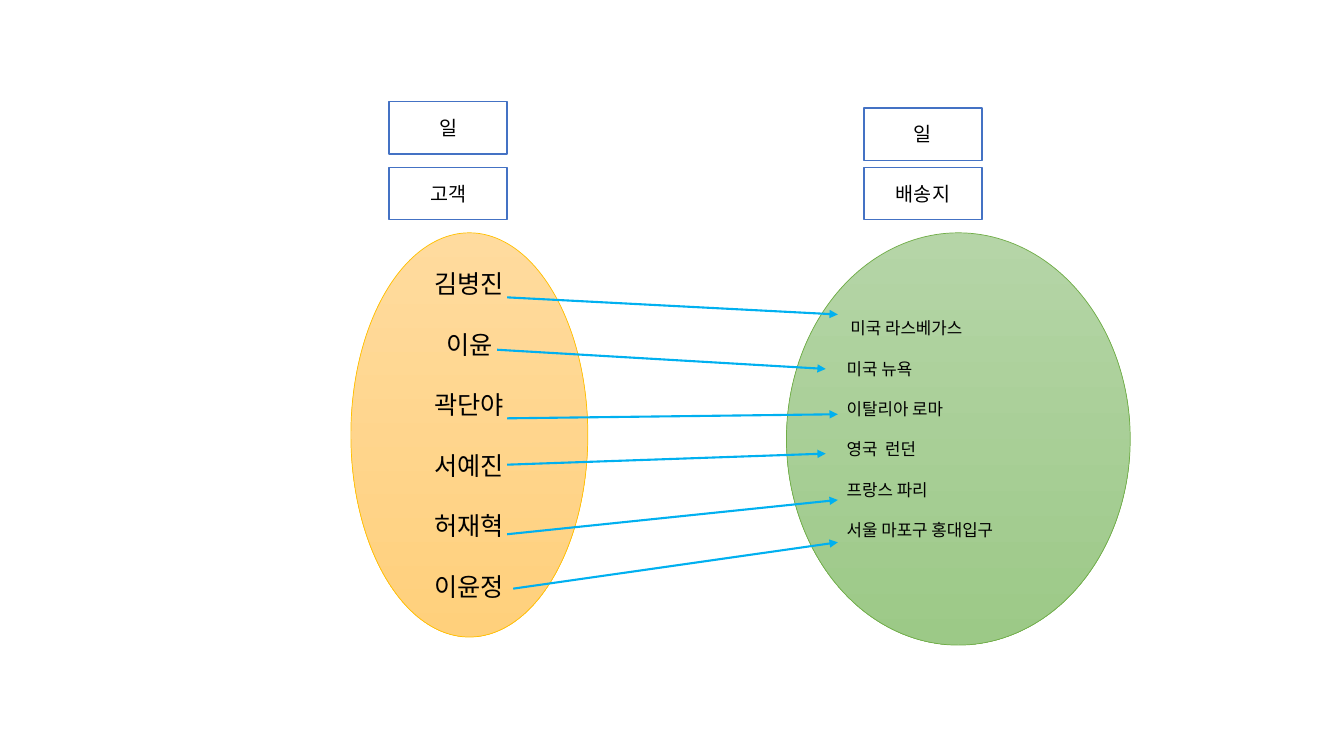
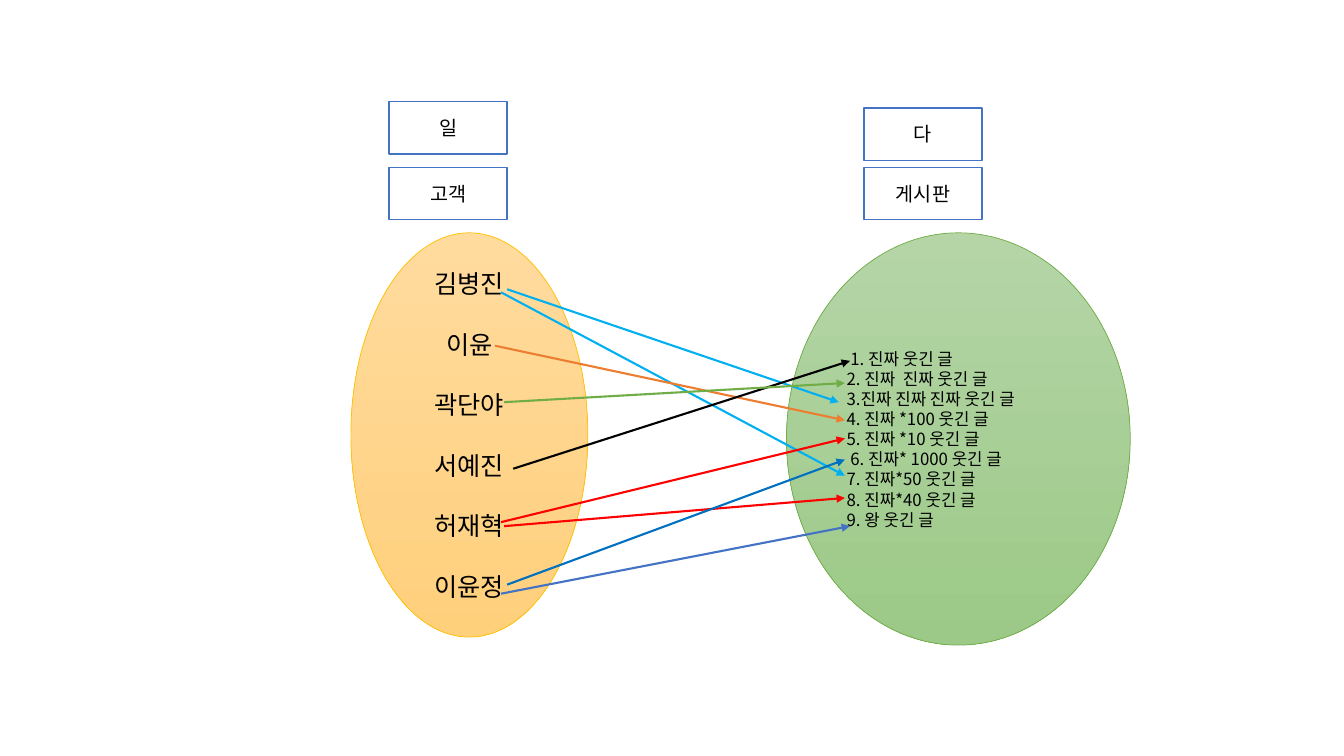
from lxml import etree
from pptx import Presentation
from pptx.dml.color import RGBColor
from pptx.enum.shapes import MSO_CONNECTOR, MSO_SHAPE
from pptx.enum.text import MSO_ANCHOR, PP_ALIGN
from pptx.oxml.ns import qn
from pptx.util import Inches, Pt

RECTANGLE, ELLIPSE = MSO_SHAPE.RECTANGLE, MSO_SHAPE.OVAL
STRAIGHT = MSO_CONNECTOR.STRAIGHT
LEFT, CENTER = PP_ALIGN.LEFT, PP_ALIGN.CENTER
MIDDLE = MSO_ANCHOR.MIDDLE

FONT = "Noto Sans CJK KR"
LINE_HEIGHT = 1.2  # line pitch as a share of the text size

BLACK = RGBColor(0x00, 0x00, 0x00)
WHITE = RGBColor(0xFF, 0xFF, 0xFF)
CYAN = RGBColor(0x00, 0xB0, 0xF0)
BLUE = RGBColor(0x44, 0x72, 0xC4)
DEEP_BLUE = RGBColor(0x00, 0x70, 0xC0)
RED = RGBColor(0xFF, 0x00, 0x00)
ORANGE = RGBColor(0xED, 0x7D, 0x31)
GREEN = RGBColor(0x70, 0xAD, 0x47)
GOLD = RGBColor(0xFF, 0xC0, 0x00)
GOLD_FADE = RGBColor(0xFF, 0xDB, 0x9E), RGBColor(0xFF, 0xD0, 0x7C)
GREEN_FADE = RGBColor(0xB5, 0xD5, 0xA7), RGBColor(0x9C, 0xC9, 0x87)

CUSTOMERS = ["김병진", "이윤", "곽단야", "서예진", "허재혁", "이윤정"]

# Arrows: colour, start, end (inches)
SLIDES = [
    {
        "cardinality": "일",
        "entity": "배송지",
        "items": [" 미국 라스베가스", "미국 뉴욕", "이탈리아 로마", "영국  런던",
                  "프랑스 파리", "서울 마포구 홍대입구"],
        "blank_lines": 1,
        "bottom_inset": 0.25,
        "arrows": [
            (CYAN, (5.03, 2.95), (8.31, 3.12)),
            (CYAN, (4.93, 3.47), (8.19, 3.66)),
            (CYAN, (5.03, 4.15), (8.31, 4.11)),
            (CYAN, (5.03, 4.61), (8.19, 4.5)),
            (CYAN, (5.03, 5.3), (8.31, 4.96)),
            (CYAN, (5.09, 5.84), (8.31, 5.38)),
        ],
    },
    {
        "cardinality": "다",
        "entity": "게시판",
        "items": [" 1. 진짜 웃긴 글", "2. 진짜  진짜 웃긴 글", "3.진짜 진짜 진짜 웃긴 글",
                  "4. 진짜 *100 웃긴 글", "5. 진짜 *10 웃긴 글", " 6. 진짜* 1000 웃긴 글",
                  "7. 진짜*50 웃긴 글", "8. 진짜*40 웃긴 글", "9. 왕 웃긴 글"],
        "blank_lines": 0,
        "bottom_inset": 0.05,
        "arrows": [
            (CYAN, (5.03, 2.87), (8.32, 3.99)),
            (CYAN, (4.97, 2.9), (8.38, 4.72)),
            (ORANGE, (4.91, 3.43), (8.38, 4.17)),
            (BLACK, (5.09, 4.65), (8.43, 3.58)),
            (RED, (5, 5.22), (8.38, 4.94)),
            (RED, (4.97, 5.18), (8.38, 4.35)),
            (BLUE, (4.97, 5.89), (8.43, 5.22)),
            (DEEP_BLUE, (5.03, 5.8), (8.38, 4.56)),
            (GREEN, (5, 3.99), (8.38, 3.8)),
        ],
    },
]

CUSTOMER_SET = (3.48, 2.31, 2.35, 4.01)
TARGET_SET = (7.8, 2.31, 3.41, 4.09)
LABEL_SIZE = (1.17, 0.52)
CUSTOMER_X, TARGET_X = 3.86, 8.57
ENTITY_Y = 1.66


def write_lines(shape, lines, size, alignment, blank_lines=0):
    """Write one paragraph per line, set apart by the height of blank_lines."""
    frame = shape.text_frame
    frame.word_wrap = True
    frame.vertical_anchor = MIDDLE
    frame.text = "\n".join(lines)
    pitch = size * LINE_HEIGHT
    for index, paragraph in enumerate(frame.paragraphs):
        paragraph.alignment = alignment
        paragraph.line_spacing = Pt(pitch)
        paragraph.space_before = Pt(pitch * blank_lines if index else 0)
        for run in paragraph.runs:
            run.font.size = Pt(size)
            run.font.name = FONT
            run.font.color.rgb = BLACK
            east_asian = etree.SubElement(run.font._element, qn("a:ea"))
            east_asian.set("typeface", FONT)


def add_outlined(slide, kind, box, color, width):
    shape = slide.shapes.add_shape(kind, *map(Inches, box))
    shape.shadow.inherit = False
    shape.line.color.rgb = color
    shape.line.width = Pt(width)
    return shape


def add_label(slide, x, y, text):
    label = add_outlined(slide, RECTANGLE, (x, y, *LABEL_SIZE), BLUE, 1)
    label.fill.solid()
    label.fill.fore_color.rgb = WHITE
    write_lines(label, [text], 14, CENTER)


def add_set(slide, box, outline, fade):
    """Add an ellipse that fades from top to bottom."""
    ellipse = add_outlined(slide, ELLIPSE, box, outline, 0.5)
    ellipse.fill.gradient()
    ellipse.fill.gradient_angle = 270
    for stop, color in zip(ellipse.fill.gradient_stops, fade):
        stop.color.rgb = color
    return ellipse


def add_arrow(slide, color, start, end):
    arrow = slide.shapes.add_connector(STRAIGHT, *map(Inches, start + end))
    arrow.line.color.rgb = color
    arrow.line.width = Pt(1.5)
    head = etree.SubElement(arrow.line._get_or_add_ln(), qn("a:tailEnd"))
    head.set("type", "triangle")
    etree.SubElement(arrow._element.spPr, qn("a:effectLst"))


def build_slide(presentation, content):
    slide = presentation.slides.add_slide(presentation.slide_layouts[6])

    customers = add_set(slide, CUSTOMER_SET, GOLD, GOLD_FADE)
    write_lines(customers, CUSTOMERS, 18, CENTER, blank_lines=1)
    targets = add_set(slide, TARGET_SET, GREEN, GREEN_FADE)
    write_lines(targets, content["items"], 12, LEFT, content["blank_lines"])
    targets.text_frame.margin_bottom = Inches(content["bottom_inset"])

    add_label(slide, CUSTOMER_X, ENTITY_Y, "고객")
    add_label(slide, TARGET_X, ENTITY_Y, content["entity"])
    add_label(slide, CUSTOMER_X, 1.01, "일")
    add_label(slide, TARGET_X, 1.07, content["cardinality"])

    for arrow in content["arrows"]:
        add_arrow(slide, *arrow)


def main():
    presentation = Presentation()
    presentation.slide_width = Inches(13.33)
    presentation.slide_height = Inches(7.5)
    for content in SLIDES:
        build_slide(presentation, content)
    presentation.save("out.pptx")


if __name__ == "__main__":
    main()
